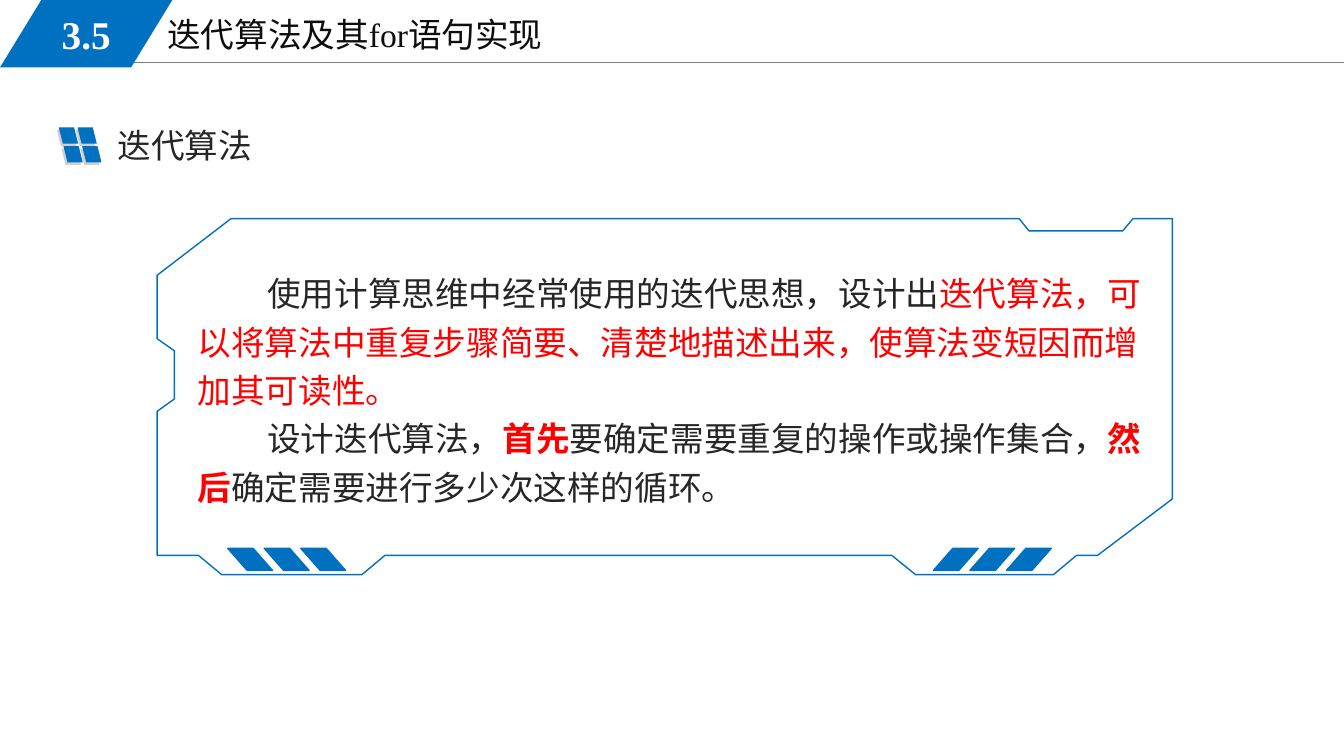
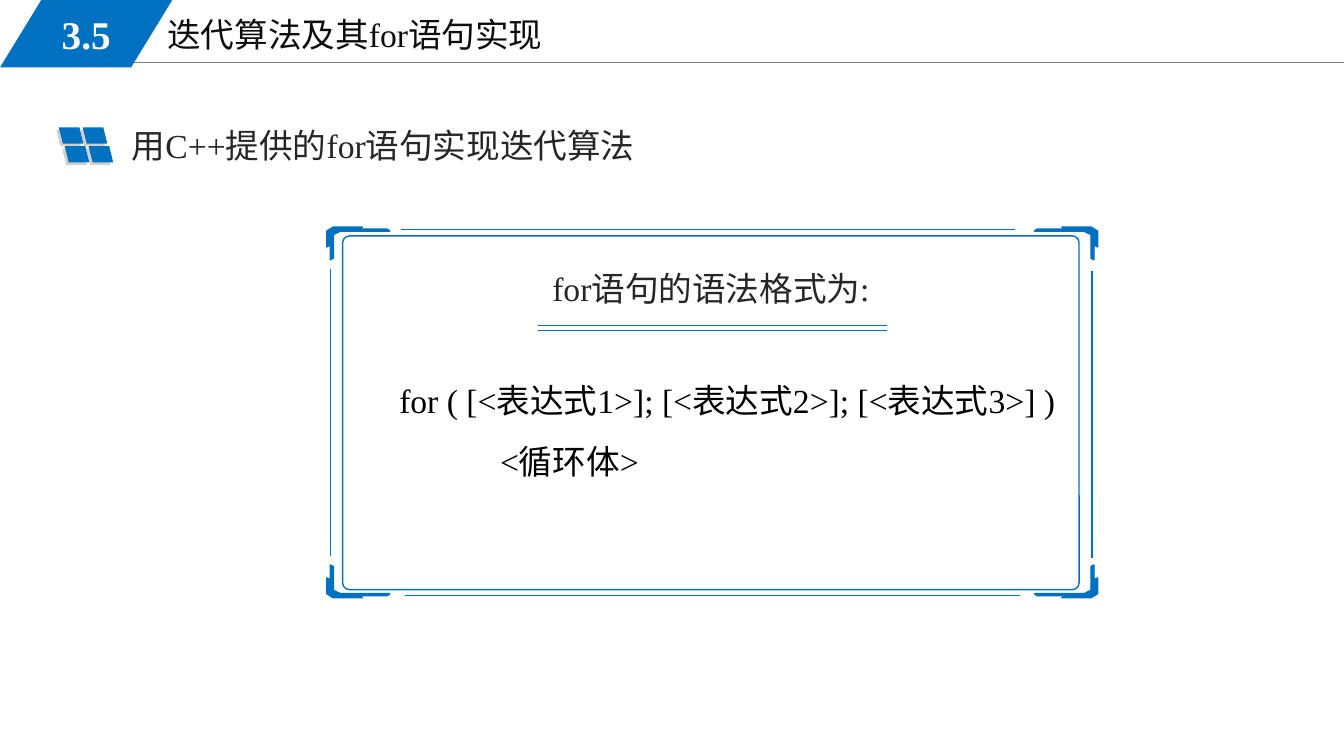
from lxml import etree
from pptx import Presentation
from pptx.dml.color import RGBColor
from pptx.enum.lang import MSO_LANGUAGE_ID
from pptx.enum.shapes import MSO_CONNECTOR, MSO_SHAPE
from pptx.enum.text import MSO_ANCHOR, MSO_AUTO_SIZE, PP_ALIGN
from pptx.oxml.ns import qn
from pptx.util import Pt

BLUE = RGBColor(0x00, 0x70, 0xC0)
SHADE = RGBColor(0xD0, 0xCE, 0xCE)
GRAY = RGBColor(0x80, 0x80, 0x80)
WHITE = RGBColor(0xFF, 0xFF, 0xFF)
BLACK = RGBColor(0x00, 0x00, 0x00)
TITLE_INK = RGBColor(0x0D, 0x0D, 0x0D)
INK = RGBColor(0x26, 0x26, 0x26)
RED = RGBColor(0xFF, 0x00, 0x00)

SERIF = "Times New Roman"
SANS = "Noto Sans CJK SC"

PARALLELOGRAM = MSO_SHAPE.PARALLELOGRAM
ROUNDED = MSO_SHAPE.ROUNDED_RECTANGLE
STRAIGHT = MSO_CONNECTOR.STRAIGHT
LEFT = PP_ALIGN.LEFT
CENTER = PP_ALIGN.CENTER
TOP = MSO_ANCHOR.TOP
MIDDLE = MSO_ANCHOR.MIDDLE
NO_FIT = MSO_AUTO_SIZE.NONE
CHINESE = MSO_LANGUAGE_ID.SIMPLIFIED_CHINESE

PANEL_OUTLINE = [
    (654, 410.5), (752.5, 410.5), (769, 396.7), (784, 396.7),
    (837.4, 356.4), (837.4, 156.2), (809.3, 156.2), (802, 164.9),
    (735, 164.9), (728, 156.2), (165, 156.2), (112.3, 196.6),
    (112.3, 242), (124.6, 250.6), (124.6, 285), (112.3, 293.8),
    (112.3, 396.7), (141.8, 396.7), (158.4, 410.5), (258.5, 410.5),
    (275, 396.7), (637, 396.7),
]
BRACKET = [
    (4.7, 0), (25.5, 0), (22.7, 1.5), (43.2, 1.5), (45, 2.9), (9.7, 2.9),
    (4.7, 5.4), (4.7, 22.3), (2.5, 23.4), (2.5, 12.8), (0, 14.2), (0, 2.9),
]


class Deck:
    def __init__(self):
        self.presentation = Presentation()
        self.presentation.slide_width = Pt(960)
        self.presentation.slide_height = Pt(540)
        self.slide = None

    def new_slide(self, number, title):
        layout = self.presentation.slide_layouts[1]
        self.slide = self.presentation.slides.add_slide(layout)
        self.line(81, 44.6, 960, 44.6, GRAY, 0.75)
        header = self.slide.shapes.title
        self.place(header, 112.3, 6.5, 408, 36.7)
        self.set_text(header.text_frame, [[(title, TITLE_INK, False)]], SERIF)
        band = self.shape(PARALLELOGRAM, 0, 0, 123.1, 48.2, BLUE, adjust=0.612)
        self.set_text(band.text_frame, [[(number, WHITE, True)]], SERIF, 28,
                      align=CENTER, anchor=MIDDLE)

    def place(self, box, x, y, width, height):
        box.left, box.top = Pt(x), Pt(y)
        box.width, box.height = Pt(width), Pt(height)

    def style_run(self, run, font, size, color, bold):
        run.font.size = Pt(size)
        run.font.name = font
        run.font.bold = bold
        run.font.color.rgb = color
        run.font.language_id = CHINESE
        latin = run.font._element.find(qn("a:latin"))
        latin.addnext(etree.Element(qn("a:ea"), typeface=SANS))

    def set_text(self, frame, paragraphs, font, size=24, align=LEFT,
                 anchor=TOP, spacing=1.0, indents=None):
        frame.word_wrap = True
        frame.auto_size = NO_FIT
        frame.vertical_anchor = anchor
        for index, pieces in enumerate(paragraphs):
            paragraph = frame.add_paragraph() if index else frame.paragraphs[0]
            margin, first_line = indents[index] if indents else (0, 0)
            properties = paragraph._p.get_or_add_pPr()
            properties.set("marL", str(Pt(margin)))
            properties.set("indent", str(Pt(first_line)))
            paragraph.alignment = align
            paragraph.line_spacing = spacing
            paragraph.space_before = Pt(0)
            etree.SubElement(properties, qn("a:buNone"))
            for text, color, bold in pieces:
                run = paragraph.add_run()
                run.text = text
                self.style_run(run, font, size, color, bold)

    def label(self, x, y, width, height, text, font):
        box = self.slide.shapes.add_textbox(Pt(x), Pt(y), Pt(width), Pt(height))
        self.set_text(box.text_frame, [[(text, INK, False)]], font)

    def body(self, x, y, width, height, paragraphs, font, spacing, indents):
        content = self.slide.placeholders[1]
        self.place(content, x, y, width, height)
        self.set_text(content.text_frame, paragraphs, font, spacing=spacing,
                      indents=indents)

    def paint(self, shape, fill, outline):
        shape.shadow.inherit = False
        if fill is None:
            shape.fill.background()
        else:
            shape.fill.solid()
            shape.fill.fore_color.rgb = fill
        if outline is None:
            shape.line.fill.background()
        else:
            shape.line.color.rgb = outline
            shape.line.width = Pt(1)

    def shape(self, kind, x, y, width, height, fill=None, outline=None,
              adjust=None, mirrored=False):
        shape = self.slide.shapes.add_shape(
            kind, Pt(x), Pt(y), Pt(width), Pt(height))
        if adjust is not None:
            shape.adjustments[0] = adjust
        if mirrored:
            shape._element.spPr.find(qn("a:xfrm")).set("flipH", "1")
        self.paint(shape, fill, outline)
        return shape

    def outline(self, points, fill=None):
        corners = [(Pt(x), Pt(y)) for x, y in points]
        builder = self.slide.shapes.build_freeform(*corners[0])
        builder.add_line_segments(corners[1:], close=True)
        self.paint(builder.convert_to_shape(), fill, BLUE)

    def line(self, x1, y1, x2, y2, color=BLUE, weight=1):
        rule = self.slide.shapes.add_connector(
            STRAIGHT, Pt(x1), Pt(y1), Pt(x2), Pt(y2))
        rule.line.color.rgb = color
        rule.line.width = Pt(weight)
        etree.SubElement(rule._element.spPr, qn("a:effectLst"))

    def section(self, text, tile, x, width, font):
        for color, dx, dy in ((SHADE, -0.1 * tile, 1.8), (BLUE, 0, 0)):
            for column in range(2):
                for row in range(2):
                    left = 42 + dx + (0.97 * column + 0.24 * row) * tile
                    self.shape(PARALLELOGRAM, left, 91 + dy + 13.4 * row,
                               tile, 11.6, color, mirrored=True)
        self.label(x, 85.7, width, 36, text, font)

    def panel(self):
        self.outline(PANEL_OUTLINE)
        for start, mirrored in ((666.7, False), (162.7, True)):
            for index in range(3):
                self.shape(PARALLELOGRAM, start + 26.1 * index, 391.7, 32, 15.8,
                           BLUE, BLUE, 0.878, mirrored)

    def bracket_frame(self):
        self.shape(ROUNDED, 244.8, 168.5, 526, 252.7, None, BLUE, 0.019)
        for x, x_sign in ((233.4, 1), (784, -1)):
            for y, y_sign in ((162.2, 1), (427, -1)):
                self.outline([(x + x_sign * dx, y + y_sign * dy)
                              for dx, dy in BRACKET], BLUE)
        self.line(286.6, 163.8, 725, 163.8)
        self.line(289.4, 425.5, 728.6, 425.5)
        self.line(236.2, 192.2, 236.2, 397.4)
        self.line(780, 193.7, 780, 398.9)


def main():
    deck = Deck()
    title = "迭代算法及其for语句实现"

    deck.new_slide("3.5", title)
    deck.section("迭代算法", 13.8, 77, 297, SANS)
    deck.panel()
    deck.body(134, 185.8, 696.2, 181.4, [
        [("使用计算思维中经常使用的迭代思想，设计出", INK, False),
         ("迭代算法，可以将算法中重复步骤简要、清楚地描述出来，"
          "使算法变短因而增加其可读性。", RED, False)],
        [("设计迭代算法，", INK, False),
         ("首先", RED, True),
         ("要确定需要重复的操作或操作集合，", INK, False),
         ("然后", RED, True),
         ("确定需要进行多少次这样的循环。", INK, False)],
    ], SANS, 1.2, [(0, 49.7), (0, 49.7)])

    deck.new_slide("3.5", title)
    deck.section("用C++提供的for语句实现迭代算法", 17.6, 87.1, 378, SERIF)
    deck.bracket_frame()
    for y in (232.4, 236):
        deck.line(384, y, 633.6, y)
    deck.label(387.4, 188, 262, 36, "for语句的语法格式为:", SERIF)
    deck.body(278, 253.4, 486.7, 140, [
        [("for ( [<表达式1>]; [<表达式2>]; [<表达式3>] )", BLACK, False)],
        [("<循环体>", BLACK, False)],
    ], SERIF, 1.5, [(0, 0), (72, 0)])

    deck.presentation.save("out.pptx")


if __name__ == "__main__":
    main()
